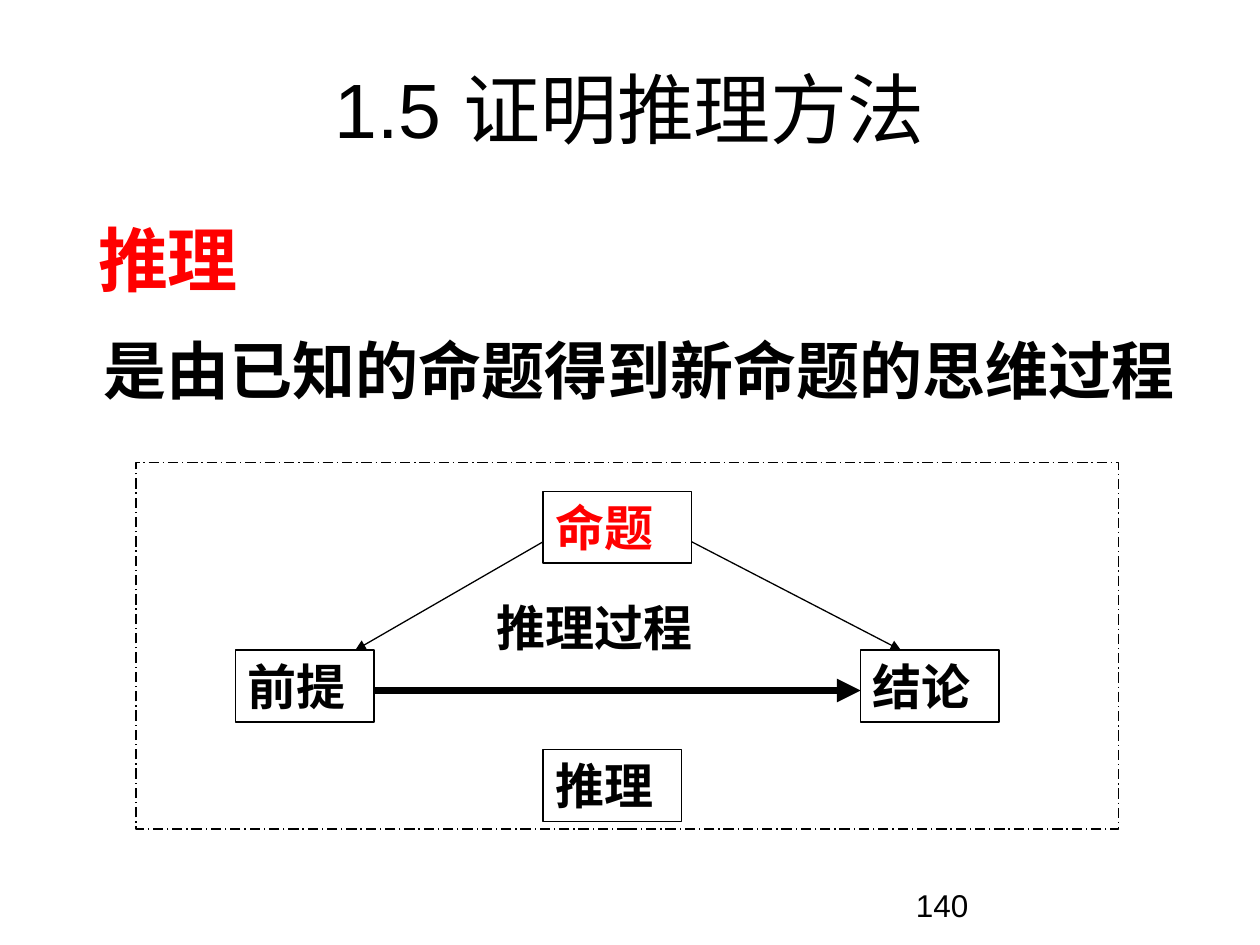
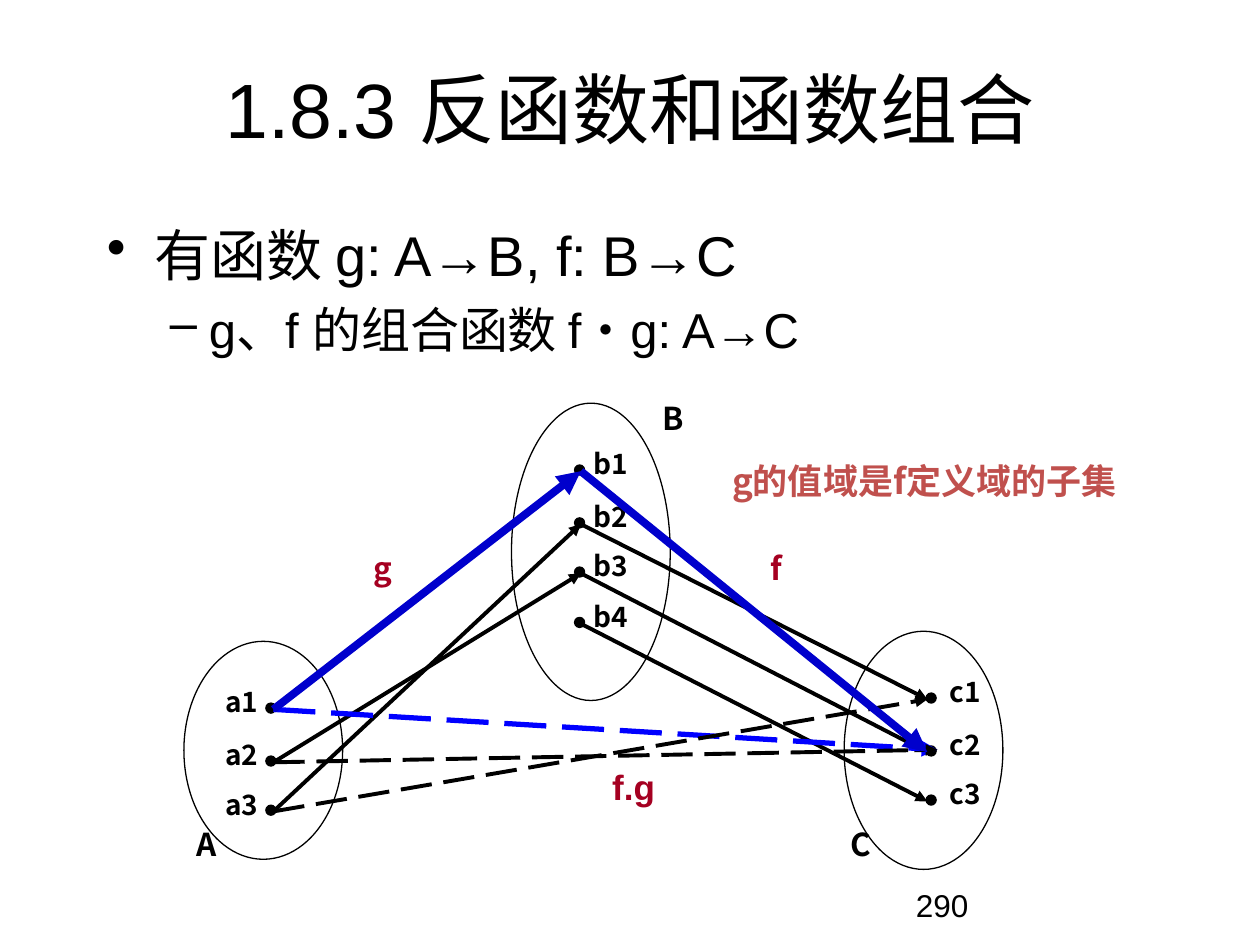
from lxml import etree
from pptx import Presentation
from pptx import util as u
from pptx.dml.color import RGBColor
from pptx.enum import dml, shapes, text
from pptx.oxml.ns import qn

PX = 9144
BLACK = RGBColor(0, 0, 0)
RED = RGBColor(0xFF, 0, 0)
CRIMSON = RGBColor(0xA5, 0, 0x21)
BRICK = RGBColor(0xC0, 0x50, 0x4D)
BLUE = RGBColor(0, 0, 0xFF)
NAVY = RGBColor(0, 0, 0xCC)
ARIAL = "Arial"
NOTO = "Noto Sans CJK SC"
RECT = shapes.MSO_SHAPE.RECTANGLE
OVAL = shapes.MSO_SHAPE.OVAL
DASH = dml.MSO_LINE.LONG_DASH
DASH_DOT = dml.MSO_LINE.LONG_DASH_DOT


def px(*lengths):
    return [u.Emu(n * PX) for n in lengths]


class Deck:
    def __init__(self):
        self.prs = Presentation()
        self.prs.slide_width, self.prs.slide_height = px(1000, 750)
        self.s = None

    def slide(self, title, number):
        self.s = self.prs.slides.add_slide(self.prs.slide_layouts[6])
        self.label(717, 698, 208, 27, number, 18)
        self.label(75, 44, 850, 125, title, 44, align=text.PP_ALIGN.CENTER)

    def run(self, p, words, size, font=ARIAL, color=BLACK, bold=False):
        r = p.add_run()
        r.text = words
        r.font.size = u.Pt(size)
        r.font.bold = bold
        r.font.color.rgb = color
        r.font.name = font
        etree.SubElement(r.font._element, qn("a:ea"), typeface=NOTO)

    def frame(self, sp, wrap=True):
        tf = sp.text_frame
        tf.word_wrap = wrap
        tf.vertical_anchor = text.MSO_ANCHOR.TOP
        return tf

    def label(self, x, y, w, h, words, size, font=ARIAL, color=BLACK, bold=False,
              align=text.PP_ALIGN.LEFT, spacing=None, wrap=False):
        sp = self.s.shapes.add_textbox(*px(x, y, w, h))
        p = self.frame(sp, wrap).paragraphs[0]
        p.alignment = align
        p.line_spacing = spacing
        self.run(p, words, size, font, color, bold)

    def shape(self, kind, x, y, w, h, fill=None, dash=None):
        sp = self.s.shapes.add_shape(kind, *px(x, y, w, h))
        sp.shadow.inherit = False
        if fill is None:
            sp.fill.background()
        else:
            sp.fill.solid()
            sp.fill.fore_color.rgb = fill
        sp.line.color.rgb = BLACK
        sp.line.width = u.Pt(0.75)
        if dash:
            sp.line.dash_style = dash
        return sp

    def box(self, x, y, w, words, color=BLACK):
        p = self.frame(self.shape(RECT, x, y, w, 57)).paragraphs[0]
        p.alignment = text.PP_ALIGN.LEFT
        self.run(p, words, 28, color=color, bold=True)

    def arrow(self, start, end, width, color=BLACK, dash=None):
        c = self.s.shapes.add_connector(shapes.MSO_CONNECTOR.STRAIGHT, *px(*start, *end))
        c.line.color.rgb = color
        c.line.width = u.Pt(width)
        if dash:
            c.line.dash_style = dash
        etree.SubElement(c.line._get_or_add_ln(), qn("a:tailEnd"), type="triangle")
        etree.SubElement(c._element.spPr, qn("a:effectLst"))

    def bullets(self, x, y, w, h, items):
        tf = self.frame(self.s.shapes.add_textbox(*px(x, y, w, h)))
        for i, (level, char, margin, hang, before, size, runs) in enumerate(items):
            p = tf.add_paragraph() if i else tf.paragraphs[0]
            p.level = level
            if i:
                p.space_before = u.Pt(before)
            pPr = p._p.get_or_add_pPr()
            pPr.set("marL", str(margin * PX))
            pPr.set("indent", str(-hang * PX))
            etree.SubElement(pPr, qn("a:buChar"), char=char)
            for words, font in runs:
                self.run(p, words, size, font)

    def note_table(self, x, y, w, h, words):
        table = self.s.shapes.add_table(1, 1, *px(x, y, w, h)).table
        table.first_row = table.horz_banding = False
        cell = table.cell(0, 0)
        cell.fill.background()
        p = cell.text_frame.paragraphs[0]
        p.line_spacing = 1.1
        pPr = p._p.get_or_add_pPr()
        pPr.set("marL", str(38 * PX))
        pPr.set("indent", str(-38 * PX))
        self.run(p, words, 20, NOTO, BRICK, True)


def reasoning_slide(d):
    d.slide("1.5 证明推理方法", "140")
    d.label(72, 258, 870, 70, "是由已知的命题得到新命题的思维过程", 36, NOTO, bold=True)
    d.label(68, 167, 131, 77, "推理", 40, NOTO, RED, True)
    d.shape(RECT, 108, 367, 780, 291, dash=DASH_DOT)
    d.box(187, 516, 110, "前提")
    d.box(683, 516, 110, "结论")
    d.box(431, 595, 110, "推理")
    d.box(431, 390, 118, "命题", RED)
    d.label(384, 469, 205, 57, "推理过程", 28, bold=True)
    d.arrow((297, 548), (683, 548), 4.5)
    d.arrow((431, 430), (282, 516), 0.75)
    d.arrow((549, 430), (715, 516), 0.75)


def composition_slide(d):
    d.slide("1.8.3 反函数和函数组合", "290")
    d.bullets(75, 170, 850, 488, [
        (0, "•", 38, 38, 8, 32, [("有函数 g: A→B, f: B→C", ARIAL)]),
        (1, "–", 81, 31, 7, 28, [("g、f 的组合函数 f", ARIAL), ("·", NOTO), ("g: A→C", ARIAL)]),
    ])

    row_offsets = (0, 42, 81, 121)
    sets = [
        ("A", 3, (146, 509, 126, 173), (211, 558), 169, (146, 658), 217),
        ("B", 4, (406, 320, 126, 236), (456, 369), 461, (516, 320), 461),
        ("C", 3, (670, 501, 126, 189), (735, 550), 744, (665, 658), 736),
    ]
    ends = {}
    for name, count, oval, (dot_x, dot_y), label_x, name_at, end_x in sets:
        d.shape(OVAL, *oval)
        d.label(*name_at, 31, 31, name, 18, NOTO, bold=True, spacing=0.7)
        for i, offset in enumerate(row_offsets[:count], 1):
            member = f"{name.lower()}{i}"
            y = dot_y + offset
            d.shape(OVAL, dot_x, y, 8, 8, fill=BLACK)
            d.label(label_x, y - 12, 55, 29, member, 16, NOTO, bold=True, spacing=0.7)
            ends[member] = (end_x, y + 5)

    for start, end in ("a3 b2", "a2 b3", "b2 c1", "b3 c2", "b4 c3") and [
            pair.split() for pair in ("a3 b2", "a2 b3", "b2 c1", "b3 c2", "b4 c3")]:
        d.arrow(ends[start], ends[end], 2.25)
    d.arrow(ends["a1"], (744, 595), 3, BLUE, DASH)
    d.arrow(ends["a2"], (744, 595), 2.25, dash=DASH)
    d.arrow(ends["a3"], ends["c1"], 2.25, dash=DASH)
    for x, name in ((287, "g"), (602, "f")):
        d.label(x, 422, 47, 49, name, 18, NOTO, CRIMSON, True, spacing=1.3)
    d.label(476, 603, 55, 63, "f.g", 20, color=CRIMSON, bold=True)
    d.arrow(ends["a1"], ends["b1"], 4.5, NAVY)
    d.arrow(ends["b1"], ends["c2"], 4.5, NAVY)
    d.note_table(571, 351, 331, 83, "g的值域是f定义域的子集")


def main():
    d = Deck()
    reasoning_slide(d)
    composition_slide(d)
    d.prs.save("out.pptx")


if __name__ == "__main__":
    main()
